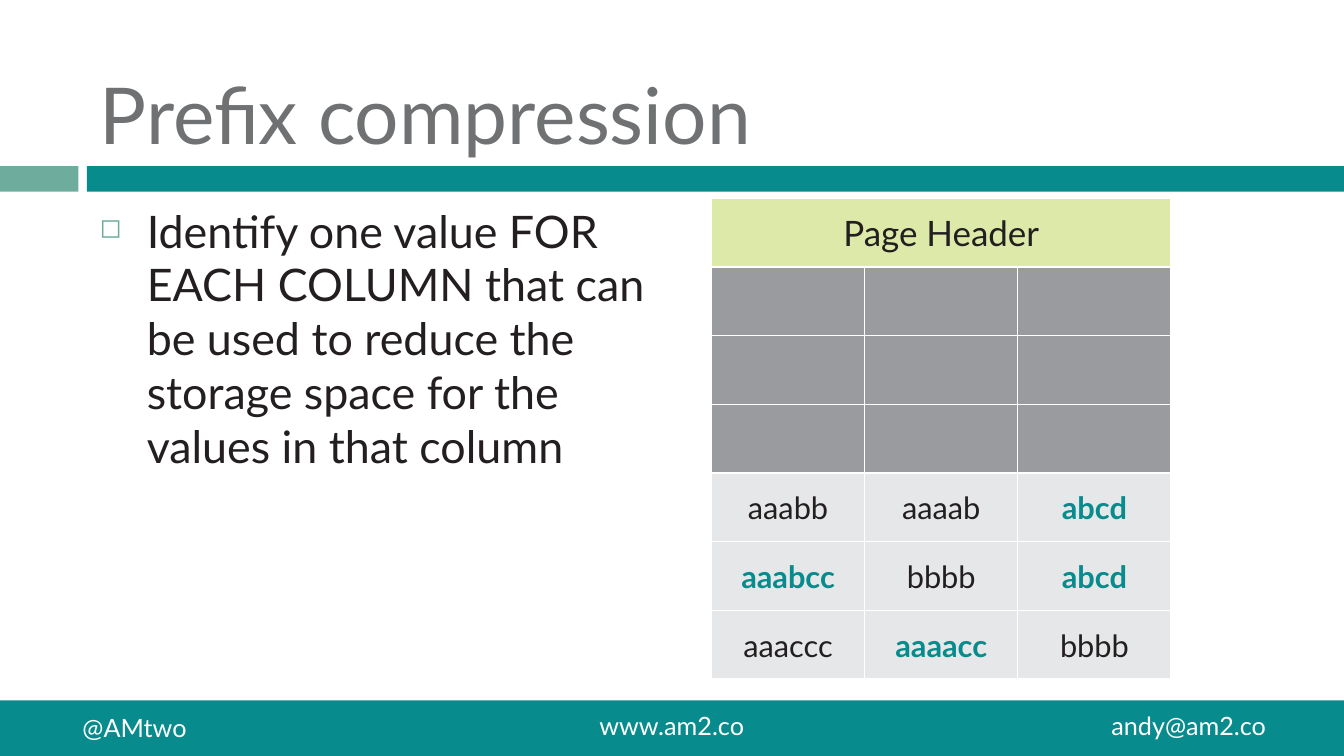
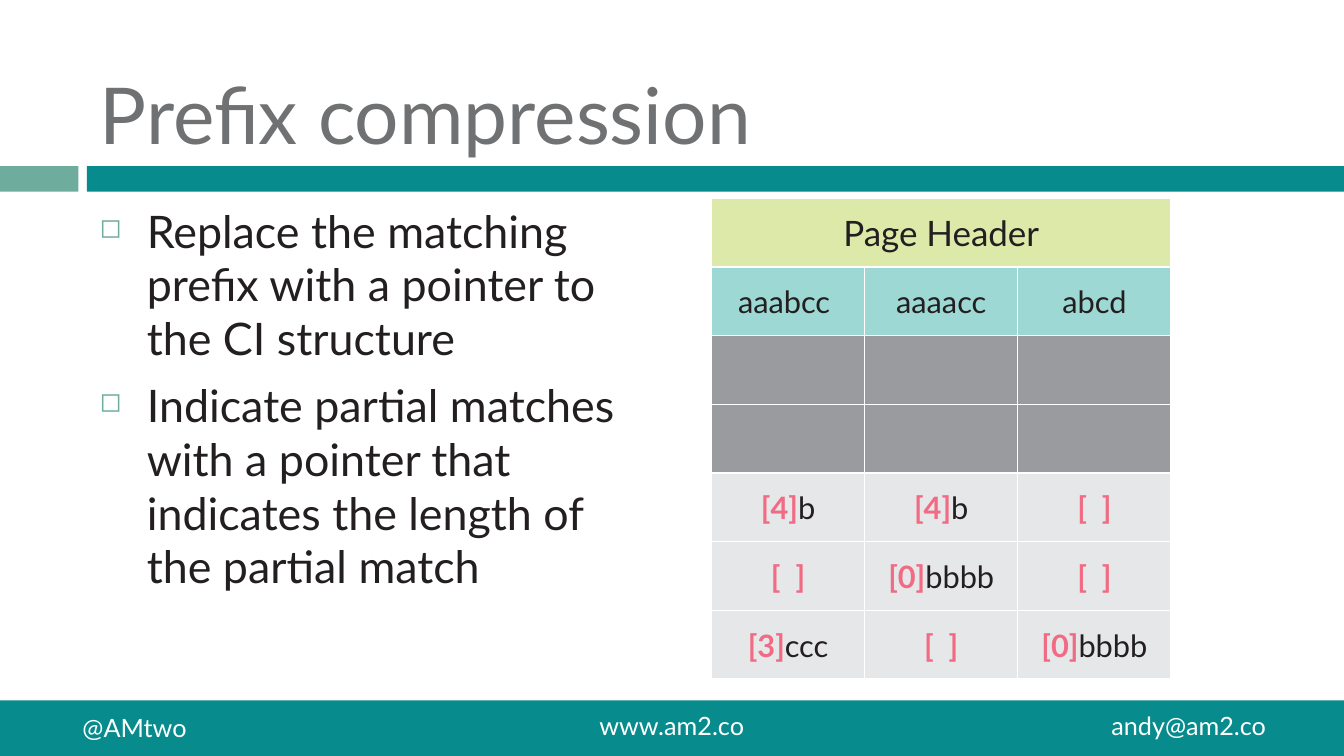
import dataclasses

import lxml.etree
import pptx
import pptx.dml.color
import pptx.enum.shapes
import pptx.enum.text
import pptx.oxml.ns
import pptx.util

Cm = pptx.util.Cm
Pt = pptx.util.Pt
Align = pptx.enum.text.PP_ALIGN
Anchor = pptx.enum.text.MSO_ANCHOR
qn = pptx.oxml.ns.qn


@dataclasses.dataclass(frozen=True)
class Theme:
    font: str = "Lato"
    teal: str = "078B8D"
    sage: str = "6EAD9D"
    white: str = "FFFFFF"
    title: str = "6F7173"
    ink: str = "231F20"
    pink: str = "F16B84"
    lime: str = "DCE9A8"
    aqua: str = "9ED8D5"
    grey: str = "999B9E"
    pale: str = "E6E7E8"
    title_size: int = 56
    body_size: int = 32
    header_size: int = 25
    cell_size: int = 22
    footer_size: int = 18


theme = Theme()


def style(span, size, colour, bold=False):
    span.font.name = theme.font
    span.font.size = Pt(size)
    span.font.bold = bold
    span.font.color.rgb = pptx.dml.color.RGBColor.from_string(colour)


def add_property(parent, tag, **attributes):
    return lxml.etree.SubElement(parent, qn(tag), attributes)


deck = pptx.Presentation()
deck.slide_width = Cm(33.87)
deck.slide_height = Cm(19.05)

bands = [
    (0, 4.19, 1.98, 0.64, theme.sage),
    (2.19, 4.19, 31.68, 0.64, theme.teal),
    (0, 17.65, 33.87, 1.4, theme.teal),
]
footers = [
    (1.83, 17.83, 3.3, "@AMtwo", Align.LEFT),
    (14.58, 17.78, 4.7, "www.am2.co", Align.CENTER),
    (27.76, 17.78, 4.7, "andy@am2.co", Align.LEFT),
]

anchors = ["aaabcc", "aaaacc", "abcd"]
blank = ["", "", ""]
header_row = (theme.lime, ["Page Header", "", ""])
blank_row = (theme.grey, blank)

pages = [
    {
        "bullets": [
            "Identify one value FOR EACH COLUMN that can be used to reduce "
            "the storage space for the values in that column",
        ],
        "accent": theme.teal,
        "anchor_row": blank_row,
        "records": [
            ["aaabb", "aaaab", "abcd"],
            ["aaabcc", "bbbb", "abcd"],
            ["aaaccc", "aaaacc", "bbbb"],
        ],
    },
    {
        "bullets": [
            "Replace the matching prefix with a pointer to the CI structure",
            "Indicate partial matches with a pointer that indicates "
            "the length of the partial match",
        ],
        "accent": theme.pink,
        "anchor_row": (theme.aqua, ["aaabcc ", "aaaacc", "abcd"]),
        "records": [
            ["[4]b", "[4]b", "[  ]"],
            ["[  ]", "[0]bbbb", "[  ]"],
            ["[3]ccc", "[  ]", "[0]bbbb"],
        ],
    },
]

for content in pages:
    page = deck.slides.add_slide(deck.slide_layouts[5])

    for left, top, width, height, colour in bands:
        band = page.shapes.add_shape(
            pptx.enum.shapes.MSO_SHAPE.RECTANGLE, Cm(left), Cm(top), Cm(width), Cm(height)
        )
        band.shadow.inherit = False
        band.fill.solid()
        band.fill.fore_color.rgb = pptx.dml.color.RGBColor.from_string(colour)
        band.line.fill.background()

    for left, top, width, text, alignment in footers:
        box = page.shapes.add_textbox(Cm(left), Cm(top), Cm(width), Cm(1.02))
        box.text_frame.word_wrap = True
        box.text_frame.auto_size = pptx.enum.text.MSO_AUTO_SIZE.SHAPE_TO_FIT_TEXT
        box.text_frame.text = text
        para = box.text_frame.paragraphs[0]
        para.alignment = alignment
        style(para.runs[0], theme.footer_size, theme.white)

    title = page.shapes.title
    title.left, title.top, title.width, title.height = Cm(2.26), Cm(0.43), Cm(30.2), Cm(3.73)
    title.text_frame.text = "Prefix compression"
    title.text_frame.vertical_anchor = Anchor.BOTTOM
    para = title.text_frame.paragraphs[0]
    para.alignment = Align.LEFT
    style(para.runs[0], theme.title_size, theme.title)

    box = page.shapes.add_textbox(Cm(2.26), Cm(5), Cm(14.4), Cm(12.11))
    box.text_frame.word_wrap = True
    box.text_frame.text = "\n".join(content["bullets"])
    for para in box.text_frame.paragraphs:
        para.space_before = Pt(9.3)
        style(para.runs[0], theme.body_size, theme.ink)
        properties = para._p.get_or_add_pPr()
        properties.set("marL", str(Cm(1.19)))
        properties.set("indent", str(-Cm(1.19)))
        bullet_colour = add_property(properties, "a:buClr")
        add_property(bullet_colour, "a:srgbClr", val=theme.sage)
        add_property(properties, "a:buSzPct", val="60000")
        add_property(properties, "a:buChar", char="◻")

    rows = [header_row, content["anchor_row"], blank_row, blank_row]
    rows += [(theme.pale, record) for record in content["records"]]
    table = page.shapes.add_table(
        len(rows), len(anchors), Cm(17.93), Cm(5), Cm(3.86 * len(anchors)), Cm(1.73 * len(rows))
    ).table
    table.first_row = False
    table.horz_banding = False
    table.cell(0, 0).merge(table.cell(0, len(anchors) - 1))

    for row_index, (fill, texts) in enumerate(rows):
        size = theme.header_size if row_index == 0 else theme.cell_size
        for column_index, text in enumerate(texts):
            cell = table.cell(row_index, column_index)
            cell.margin_left = cell.margin_right = cell.margin_top = Cm(0.03)
            cell.margin_bottom = 0
            cell.vertical_anchor = Anchor.MIDDLE
            properties = cell._tc.get_or_add_tcPr()
            for side in ("a:lnL", "a:lnR", "a:lnT", "a:lnB"):
                border = add_property(properties, side, w=str(Pt(1)))
                border_fill = add_property(border, "a:solidFill")
                add_property(border_fill, "a:srgbClr", val=theme.white)
            cell.fill.solid()
            cell.fill.fore_color.rgb = pptx.dml.color.RGBColor.from_string(fill)

            marked_length = 0
            if fill == theme.pale:
                marked_length = len(text) if text in anchors else text.find("]") + 1
            para = cell.text_frame.paragraphs[0]
            para.alignment = Align.CENTER
            marked, plain = text[:marked_length], text[marked_length:]
            for part, colour, bold in ((marked, content["accent"], True), (plain, theme.ink, False)):
                if part:
                    span = para.add_run()
                    span.text = part
                    style(span, size, colour, bold)

deck.save("out.pptx")
